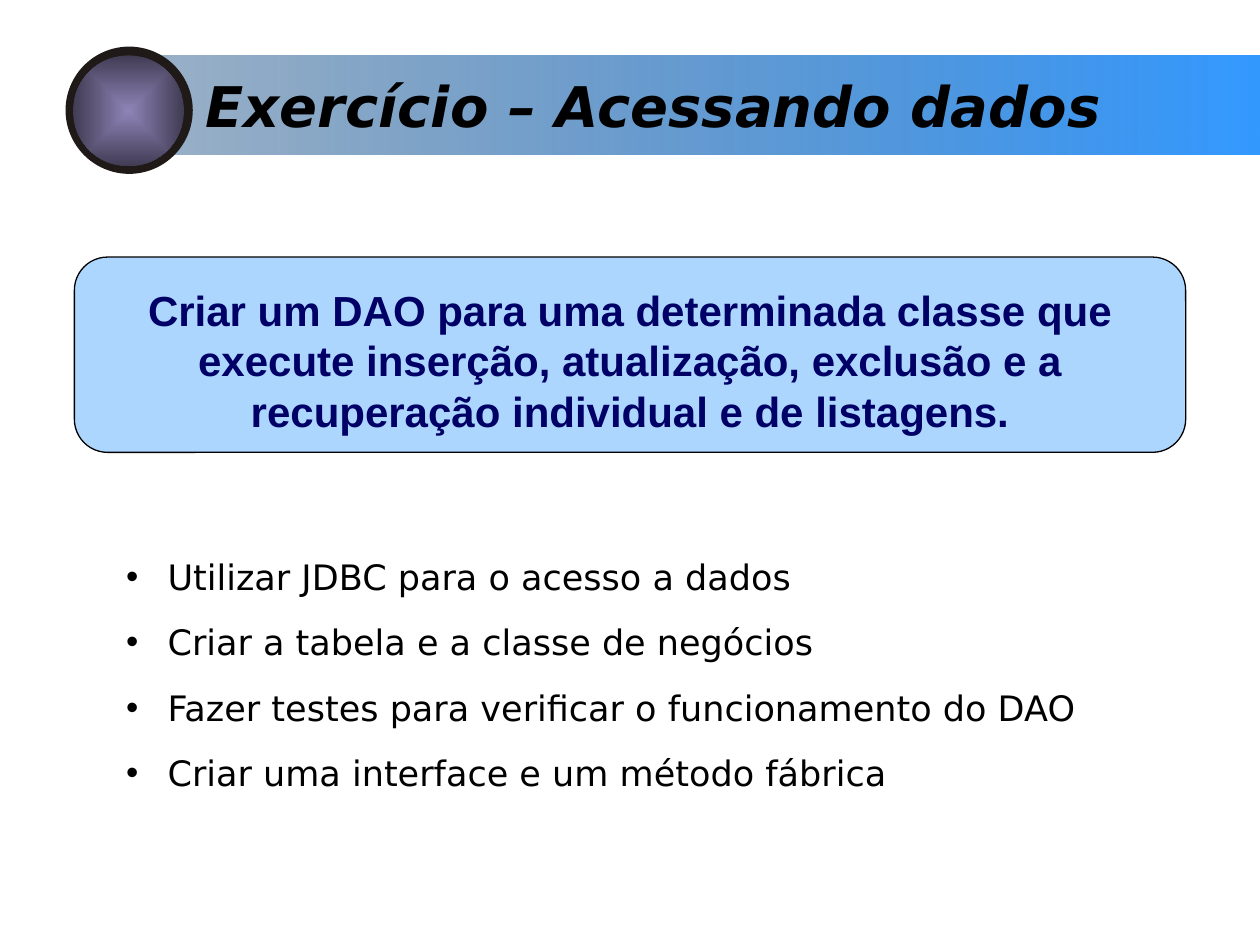
from lxml import etree
from pptx import Presentation
from pptx.dml.color import RGBColor
from pptx.enum.shapes import MSO_SHAPE
from pptx.enum.text import MSO_ANCHOR, MSO_AUTO_SIZE, PP_ALIGN
from pptx.oxml.ns import qn
from pptx.util import Inches, Pt

RECTANGLE, OVAL, ROUNDED = MSO_SHAPE.RECTANGLE, MSO_SHAPE.OVAL, MSO_SHAPE.ROUNDED_RECTANGLE
TOP, NO_AUTOFIT = MSO_ANCHOR.TOP, MSO_AUTO_SIZE.NONE
LEFT, CENTER = PP_ALIGN.LEFT, PP_ALIGN.CENTER

THEME = {
    "blue": RGBColor.from_string("3399FF"),
    "deep_blue": RGBColor.from_string("194D81"),
    "navy": RGBColor.from_string("000066"),
    "black": RGBColor.from_string("000000"),
    "ring": RGBColor.from_string("1F1A17"),
    "lilac": RGBColor.from_string("8E84B7"),
    "plum": RGBColor.from_string("413C54"),
    "sans": "DejaVu Sans",
    "statement_font": "Arial",
    "title_size": Pt(32),
    "statement_size": Pt(24),
    "list_size": Pt(20),
}

presentation = Presentation()
presentation.slide_width, presentation.slide_height = Inches(10), Inches(7.5)
slide = presentation.slides.add_slide(presentation.slide_layouts[1])

# Grid of 100 columns by 75 rows
COLUMN = presentation.slide_width // 100
ROW = presentation.slide_height // 75


def cell_area(left, top, width, height):
    return [round(left * COLUMN), round(top * ROW), round(width * COLUMN), round(height * ROW)]


def write_text(shape, *lines, font, size, color, align=LEFT, bold=False, italic=False,
               gap=0, hanging=0, inset=(1, 0.5)):
    frame = shape.text_frame
    frame.word_wrap, frame.auto_size, frame.vertical_anchor = True, NO_AUTOFIT, TOP
    frame.margin_left = frame.margin_right = round(inset[0] * COLUMN)
    frame.margin_top = frame.margin_bottom = round(inset[1] * ROW)
    frame.text = "\n".join(lines)
    for paragraph in frame.paragraphs:
        paragraph.alignment = align
        paragraph.space_before, paragraph.space_after = Pt(0), Pt(gap)
        paragraph.font.name, paragraph.font.size = font, size
        paragraph.font.bold, paragraph.font.italic = bold, italic
        paragraph.font.color.rgb = color
        if hanging:
            properties = paragraph._p.get_or_add_pPr()
            properties.set("marL", str(round(hanging * COLUMN)))
            properties.set("indent", str(round(-hanging * COLUMN)))


# Title bar, badge and statement box
bar, ring, sphere, statement = [
    slide.shapes.add_shape(kind, *cell_area(*area))
    for kind, area in (
        (RECTANGLE, (12.2, 4.4, 87.8, 7.9)),
        (OVAL, (5.2, 3.7, 10.1, 10.1)),
        (OVAL, (5.8, 4.4, 8.8, 8.8)),
        (ROUNDED, (5.9, 20.4, 88.2, 15.5)),
    )
]
for shape in (bar, ring, sphere, statement):
    shape.shadow.inherit = False
    shape.line.fill.background()

for shape, start, end in ((bar, "blue", "deep_blue"), (sphere, "lilac", "plum")):
    shape.fill.gradient()
    for stop, color in zip(shape.fill.gradient_stops, (start, end)):
        stop.color.rgb = THEME[color]
bar.fill.gradient_angle = 180

ring.fill.solid()
ring.fill.fore_color.rgb = THEME["ring"]

statement.adjustments[0] = 0.17
statement.fill.solid()
statement.fill.fore_color.rgb = THEME["blue"]
statement.line.color.rgb = THEME["black"]
statement.line.width = Pt(0.75)

# Transparency of the bar's left end and of the statement box
bar_colors = list(bar._element.spPr.find(qn("a:gradFill")).iter(qn("a:srgbClr")))
statement_color = statement._element.spPr.find(qn("a:solidFill")).find(qn("a:srgbClr"))
for color, opacity in ((bar_colors[-1], 44), (statement_color, 40)):
    etree.SubElement(color, qn("a:alpha"), val=str(opacity * 1000))

# The badge's gradient runs from its centre
sphere_fill = sphere._element.spPr.find(qn("a:gradFill"))
sphere_fill.remove(sphere_fill.find(qn("a:lin")))
radial = etree.SubElement(sphere_fill, qn("a:path"), attrib={"path": "rect"})
etree.SubElement(radial, qn("a:fillToRect"), l="50000", t="50000", r="50000", b="50000")

# Statement
write_text(statement,
           "Criar um DAO para uma determinada classe que execute inserção, atualização, "
           "exclusão e a recuperação individual e de listagens.",
           font=THEME["statement_font"], size=THEME["statement_size"], color=THEME["navy"],
           align=CENTER, bold=True, inset=(1.9, 1.4))

# Title and task list, in front of the bar
title, tasks = slide.shapes.title, slide.placeholders[1]
for placeholder, area in ((title, (15.3, 5.2, 84.7, 6.4)), (tasks, (9, 43.6, 78.8, 19.6))):
    placeholder.left, placeholder.top, placeholder.width, placeholder.height = cell_area(*area)
    slide.shapes._spTree.append(placeholder._element)

write_text(title, "Exercício – Acessando dados", font=THEME["sans"], size=THEME["title_size"],
           color=THEME["black"], bold=True, italic=True)
write_text(tasks,
           "Utilizar JDBC para o acesso a dados",
           "Criar a tabela e a classe de negócios",
           "Fazer testes para verificar o funcionamento do DAO",
           "Criar uma interface e um método fábrica",
           font=THEME["sans"], size=THEME["list_size"], color=THEME["black"],
           gap=13.3, hanging=3.3)

presentation.save("out.pptx")
